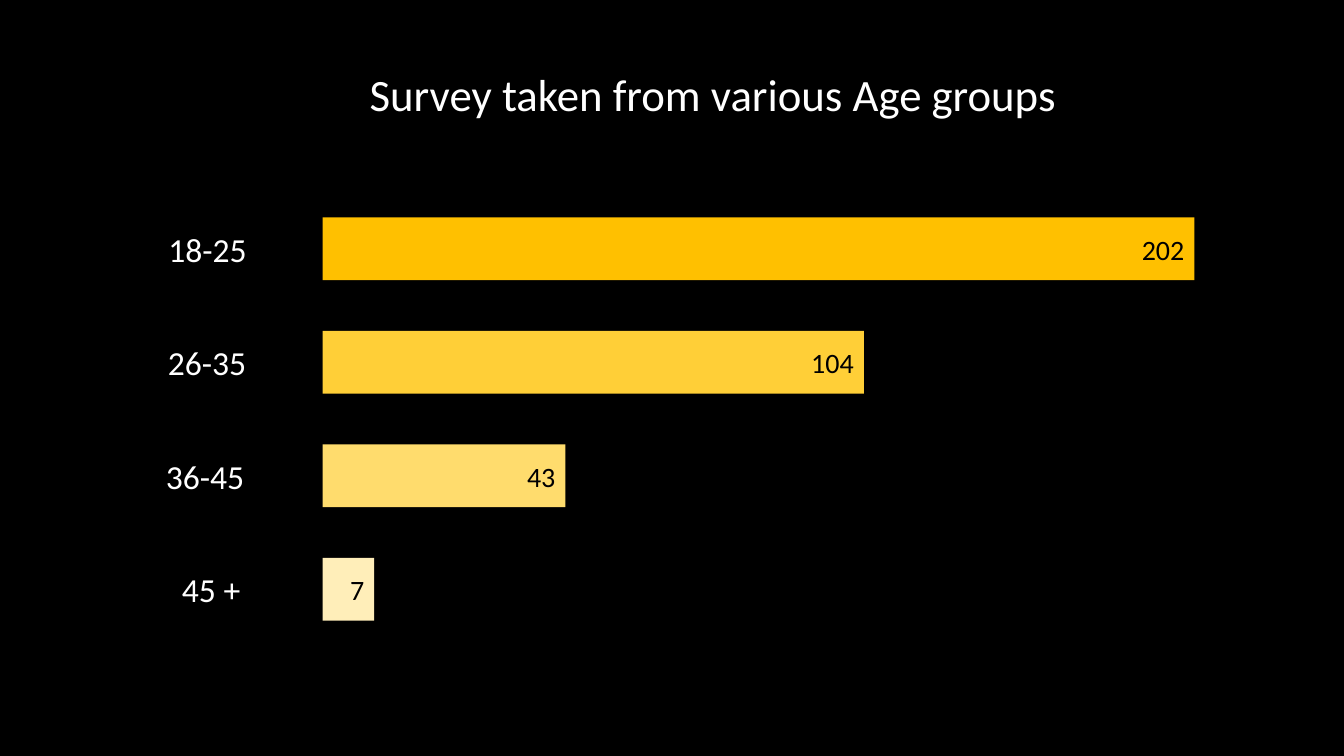
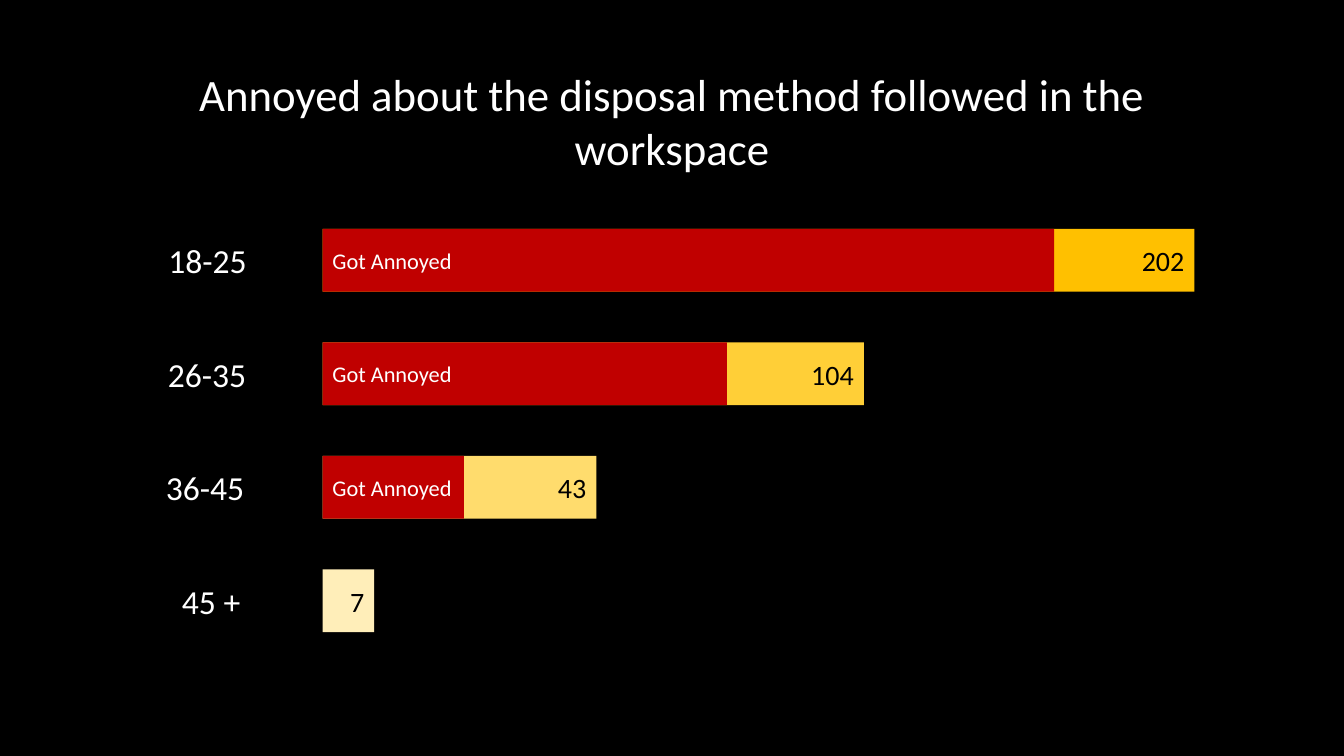
from pptx import Presentation
from pptx.dml.color import RGBColor
from pptx.enum.shapes import MSO_SHAPE
from pptx.enum.text import MSO_ANCHOR, MSO_AUTO_SIZE, PP_ALIGN
from pptx.util import Cm, Pt

COLORS = {
    "background": "000000",
    "light": "FFFFFF",
    "dark": "000000",
    "annoyed": "C00000",
    "18-25": "FFC000",
    "26-35": "FFCF37",
    "36-45": "FFDC6D",
    "45 +": "FFEEB9",
}
LABEL_CENTERS = {"18-25": 5.23, "26-35": 5.22, "36-45": 5.17, "45 +": 5.32}
RESPONSES = {"18-25": 202, "26-35": 104, "36-45": 43, "45 +": 7}

BAR_LEFT = 8.13
BAR_HEIGHT = 1.58
ROW_PITCH = 2.86
LABEL_WIDTH = 2.8


def color(name):
    return RGBColor.from_string(COLORS[name])


def write(frame, text, size=20, ink="light", align=PP_ALIGN.CENTER,
          anchor=MSO_ANCHOR.MIDDLE, wrap=False):
    frame.auto_size = MSO_AUTO_SIZE.NONE
    frame.word_wrap = wrap
    frame.vertical_anchor = anchor
    frame.margin_left = frame.margin_right = Cm(0.25)
    frame.margin_top = frame.margin_bottom = Cm(0.13)
    paragraph = frame.paragraphs[0]
    paragraph.alignment = align
    run = paragraph.add_run()
    run.text = text
    run.font.name = "Calibri"
    run.font.size = Pt(size)
    run.font.color.rgb = color(ink)


class SurveyDeck:
    def __init__(self):
        self.presentation = Presentation()
        self.presentation.slide_width = Cm(33.87)
        self.presentation.slide_height = Cm(19.05)
        fill = self.presentation.slide_master.background.fill
        fill.solid()
        fill.fore_color.rgb = color("background")
        self.slide = None

    def start(self, title, left, width, height):
        layout = self.presentation.slide_layouts.get_by_name("Title Only")
        self.slide = self.presentation.slides.add_slide(layout)
        heading = self.slide.shapes.title
        heading.left, heading.top = Cm(left), Cm(1.55)
        heading.width, heading.height = Cm(width), Cm(height)
        write(heading.text_frame, title, size=32, anchor=MSO_ANCHOR.TOP, wrap=True)

    def age_label(self, age, top):
        left = LABEL_CENTERS[age] - LABEL_WIDTH / 2
        label = self.slide.shapes.add_textbox(
            Cm(left), Cm(top), Cm(LABEL_WIDTH), Cm(BAR_HEIGHT))
        write(label.text_frame, age, size=24)

    def bar(self, fill, top, width, text, **text_format):
        bar = self.slide.shapes.add_shape(
            MSO_SHAPE.RECTANGLE, Cm(BAR_LEFT), Cm(top), Cm(width), Cm(BAR_HEIGHT))
        bar.shadow.inherit = False
        bar.fill.solid()
        bar.fill.fore_color.rgb = color(fill)
        bar.line.fill.background()
        write(bar.text_frame, text, **text_format)

    def age_bars(self, first_top, widths, annoyed_widths=None):
        annoyed_widths = annoyed_widths or {}
        for row, (age, count) in enumerate(RESPONSES.items()):
            top = first_top + row * ROW_PITCH
            self.age_label(age, top)
            self.bar(age, top, widths[age], str(count),
                     ink="dark", align=PP_ALIGN.RIGHT)
            if age in annoyed_widths:
                self.bar("annoyed", top, annoyed_widths[age], "Got Annoyed",
                         size=16, align=PP_ALIGN.LEFT)


def main():
    deck = SurveyDeck()
    widths = {"18-25": 21.97, "26-35": 13.64, "36-45": 6.12, "45 +": 1.3}

    deck.start("Survey taken from various Age groups", 7.87, 20.2, 1.63)
    deck.age_bars(5.48, widths)

    deck.start("Annoyed about the disposal method followed in the workspace",
               2.95, 27.97, 3)
    deck.age_bars(5.77, {**widths, "36-45": 6.9},
                  {"18-25": 18.44, "26-35": 10.19, "36-45": 3.56})

    deck.presentation.save("out.pptx")


if __name__ == "__main__":
    main()
